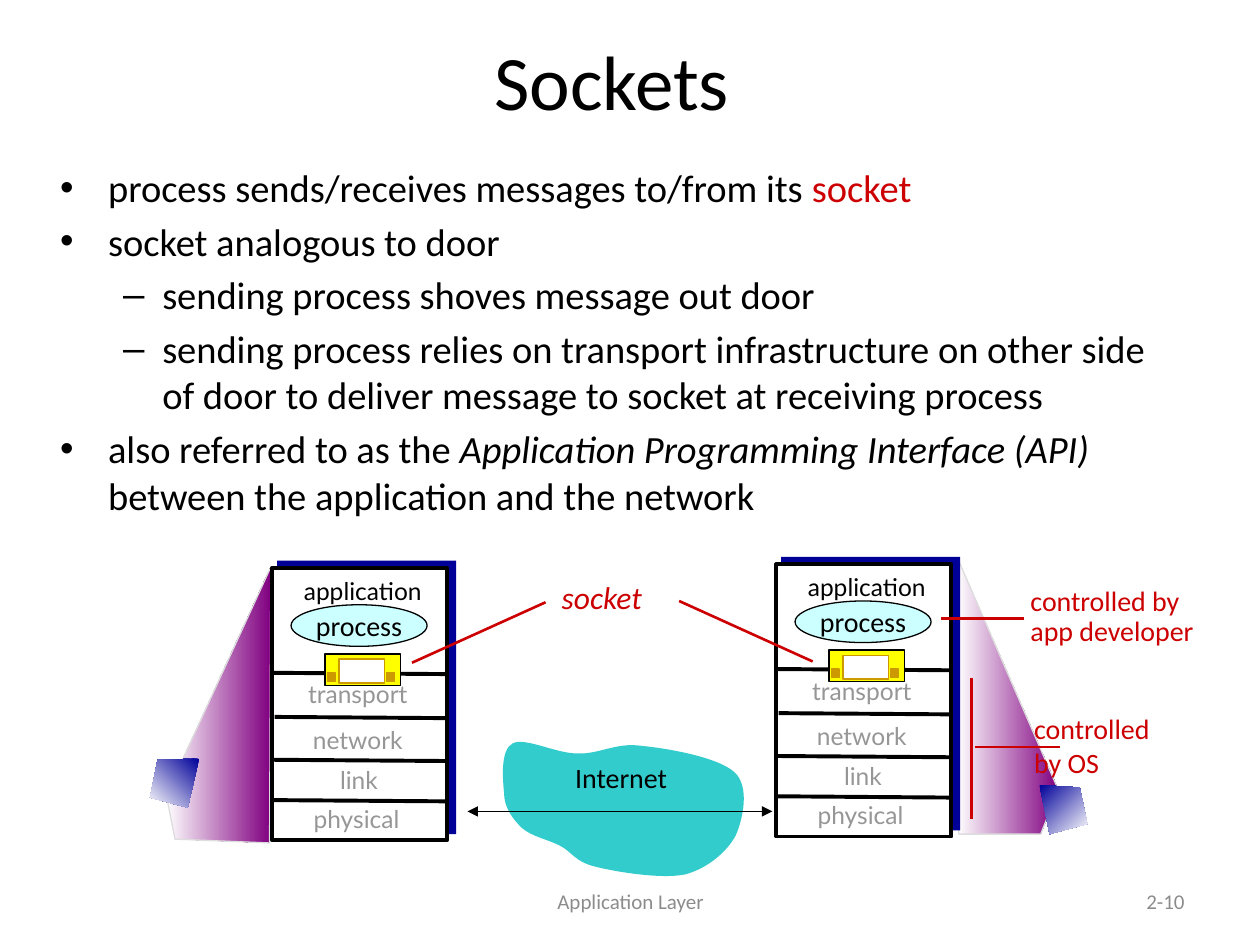
from dataclasses import dataclass

from lxml import etree
from pptx import Presentation
from pptx.dml.color import RGBColor
from pptx.enum import shapes, text
from pptx.oxml import ns
from pptx.util import Inches, Pt

COLORS = {
    "white": "FFFFFF", "black": "000000", "grey": "8C8C8C", "layer": "969696",
    "red": "CC0000", "navy": "000099", "purple": "800080", "teal": "33CCCC",
    "cyan": "CCFFFF", "yellow": "FFFF00", "gold": "CC9900", "edge": "DDDDDD",
}
RECT = shapes.MSO_SHAPE.RECTANGLE
OVAL = shapes.MSO_SHAPE.OVAL
LEFT, CENTER, RIGHT = text.PP_ALIGN.LEFT, text.PP_ALIGN.CENTER, text.PP_ALIGN.RIGHT
TOP, MIDDLE = text.MSO_ANCHOR.TOP, text.MSO_ANCHOR.MIDDLE


@dataclass
class Label:
    lines: tuple
    box: tuple
    size: float = 16
    color: str = "black"
    font: str = "Calibri"
    align: int = LEFT
    anchor: int = TOP
    spacing: float = 1.0
    italic: bool = False


@dataclass
class Line:
    start: tuple
    end: tuple
    color: str = "red"
    width: float = 1.5
    arrows: bool = False


@dataclass
class Bullet:
    level: int
    runs: tuple


@dataclass
class Outline:
    points: tuple
    stops: tuple
    angle: float = 0
    line: str = ""
    curved: bool = False


def rgb(name: str) -> RGBColor:
    return RGBColor.from_string(COLORS[name])


def apply(target, values: dict) -> None:
    for name, value in values.items():
        setattr(target, name, value)


def add_run(p, words: str, size: float, color: str, font="Calibri", italic=False) -> None:
    r = p.add_run()
    r.text = words
    apply(r.font, {"size": Pt(size), "name": font, "italic": italic})
    r.font.color.rgb = rgb(color)


def set_line(sp, color: str, width: float) -> None:
    if color:
        sp.line.color.rgb = rgb(color)
        sp.line.width = Pt(width)
    else:
        sp.line.fill.background()


def add_box(s, kind, box: tuple, fill: str, line="", width=0.75):
    sp = s.shapes.add_shape(kind, *map(Inches, box))
    sp.shadow.inherit = False
    sp.fill.solid()
    sp.fill.fore_color.rgb = rgb(fill)
    set_line(sp, line, width)
    return sp


def add_label(s, label: Label) -> None:
    tf = s.shapes.add_textbox(*map(Inches, label.box)).text_frame
    apply(tf, {"word_wrap": True, "vertical_anchor": label.anchor})
    for i, words in enumerate(label.lines):
        p = tf.add_paragraph() if i else tf.paragraphs[0]
        apply(p, {"alignment": label.align, "line_spacing": label.spacing})
        add_run(p, words, label.size, label.color, label.font, label.italic)


def add_line(s, line: Line) -> None:
    sp = s.shapes.add_connector(shapes.MSO_CONNECTOR.STRAIGHT, *map(Inches, line.start + line.end))
    set_line(sp, line.color, line.width)
    if line.arrows:
        ln = sp.line._get_or_add_ln()
        for end in ("a:headEnd", "a:tailEnd"):
            etree.SubElement(ln, ns.qn(end), type="triangle")
    etree.SubElement(sp._element.spPr, ns.qn("a:effectLst"))


def bend(sp) -> None:
    segments = list(sp._element.iter(ns.qn("a:lnTo")))
    for i in range(0, len(segments), 3):
        curve = etree.Element(ns.qn("a:cubicBezTo"))
        segments[i].addprevious(curve)
        for segment in segments[i:i + 3]:
            curve.append(segment[0])
            segment.getparent().remove(segment)


def add_outline(s, outline: Outline) -> None:
    points = [(Inches(x), Inches(y)) for x, y in outline.points]
    builder = s.shapes.build_freeform(*points[0], scale=1.0)
    builder.add_line_segments(points[1:], close=True)
    sp = builder.convert_to_shape()
    if outline.curved:
        bend(sp)
    sp.shadow.inherit = False
    if len(outline.stops) == 1:
        sp.fill.solid()
        sp.fill.fore_color.rgb = rgb(outline.stops[0])
    else:
        sp.fill.gradient()
        sp.fill.gradient_angle = outline.angle
        for stop, color in zip(sp.fill.gradient_stops, outline.stops):
            stop.color.rgb = rgb(color)
    set_line(sp, outline.line, 0.75)


def add_bullets(s, box: tuple, bullets: tuple) -> None:
    tf = s.shapes.add_textbox(*map(Inches, box)).text_frame
    tf.word_wrap = True
    for i, bullet in enumerate(bullets):
        p = tf.add_paragraph() if i else tf.paragraphs[0]
        margin, hang, mark = ((0.38, 0.38, "•"), (0.81, 0.31, "–"))[bullet.level]
        pPr = p._p.get_or_add_pPr()
        pPr.set("marL", str(Inches(margin)))
        pPr.set("indent", str(-Inches(hang)))
        etree.SubElement(pPr, ns.qn("a:buFont"), typeface="Arial")
        etree.SubElement(pPr, ns.qn("a:buChar"), char=mark)
        apply(p, {"level": bullet.level, "space_before": Pt(4.4 if i else 0)})
        for words, color, italic in bullet.runs:
            add_run(p, words, 22, color, italic=italic)


def add_host(s, x: float, y: float) -> None:
    add_box(s, RECT, (x + 0.04, y - 0.06, 1.42, 2.17), "navy")
    add_box(s, RECT, (x, y, 1.39, 2.16), "white", "black", 2.25)
    for dx, dy in ((0.01, 0.83), (0.02, 1.18), (0, 1.52), (0, 1.84)):
        add_line(s, Line((x + dx, y + dy), (x + dx + 1.38, y + dy + 0.01), "black", 2.25))
    for name, dx, dy, color in (
        ("application", 0, -0.01, "black"), ("transport", -0.04, 0.81, "layer"),
        ("network", -0.04, 1.17, "layer"), ("link", -0.03, 1.49, "layer"),
        ("physical", -0.05, 1.8, "layer"),
    ):
        add_label(s, Label((name,), (x + dx, y + dy, 1.44, 0.36), 14, color, "Lato", CENTER, spacing=1.1))
    process = add_box(s, OVAL, (x + 0.15, y + 0.29, 1.08, 0.33), "cyan", "black")
    tf = process.text_frame
    apply(tf, {"word_wrap": False, "vertical_anchor": MIDDLE})
    tf.paragraphs[0].alignment = CENTER
    add_run(tf.paragraphs[0], "process", 16, "black")
    door = s.shapes.add_group_shape()
    add_box(door, RECT, (x + 0.42, y + 0.68, 0.6, 0.25), "yellow", "black")
    add_box(door, RECT, (x + 0.53, y + 0.72, 0.36, 0.19), "white", "gold")
    for dx in (0.91, 0.44):
        add_box(door, RECT, (x + dx, y + 0.83, 0.06, 0.07), "gold", "gold")


BULLETS = (
    Bullet(0, (("process sends/receives messages to/from its ", "black", False), ("socket", "red", False))),
    Bullet(0, (("socket analogous to door", "black", False),)),
    Bullet(1, (("sending process shoves message out door", "black", False),)),
    Bullet(1, (("sending process relies on transport infrastructure on other side of door "
                "to deliver message to socket at receiving process", "black", False),)),
    Bullet(0, (("also referred to as the ", "black", False),
               ("Application Programming Interface (API) ", "black", True),
               ("between the application and the network", "black", False))),
)
CLOUD = (
    (4, 6.29),
    (3.99, 6.18), (3.97, 5.95), (4.07, 5.9), (4.17, 5.85), (4.41, 5.98), (4.58, 5.98),
    (4.75, 5.99), (4.89, 5.89), (5.09, 5.92), (5.3, 5.94), (5.7, 6.01), (5.83, 6.13),
    (5.95, 6.24), (5.9, 6.49), (5.84, 6.63), (5.77, 6.76), (5.62, 6.89), (5.44, 6.94),
    (5.25, 6.98), (4.89, 6.92), (4.73, 6.88), (4.56, 6.84), (4.54, 6.76), (4.44, 6.71),
    (4.34, 6.66), (4.22, 6.64), (4.14, 6.57), (4.07, 6.5), (4, 6.41), (4, 6.29),
)
BEAM, SCREEN = ("white", "purple"), ("navy", "white")
OUTLINES = (
    Outline(((8.4, 6.27), (7.6, 4.43), (7.61, 6.62), (8.26, 6.62)), BEAM, line="edge"),
    Outline(CLOUD, ("teal",), curved=True),
    Outline(((1.32, 6.31), (2.15, 4.5), (2.14, 6.69), (1.39, 6.66)), BEAM, line="edge"),
    Outline(((1.58, 6.02), (1.25, 6.03), (1.19, 6.33), (1.49, 6.41)), SCREEN, 225),
    Outline(((8.25, 6.23), (8.57, 6.25), (8.63, 6.54), (8.33, 6.62)), SCREEN, 315),
)
LINES = (
    Line((3.71, 6.44), (6.13, 6.44), "black", 0.75, True),
    Line((8.13, 4.91), (7.47, 4.91)),
    Line((7.71, 5.38), (7.71, 6.5)),
    Line((8.41, 5.93), (7.74, 5.93)),
    Line((3.27, 5.26), (4.33, 4.78)),
    Line((6.45, 5.25), (5.39, 4.77)),
)
LABELS = (
    Label(("Application Layer",), (3.42, 6.95, 3.17, 0.4), 12, "grey", align=CENTER, anchor=MIDDLE),
    Label(("2-10",), (7.17, 6.95, 2.33, 0.4), 12, "grey", align=RIGHT, anchor=MIDDLE),
    Label(("Sockets",), (0.44, 0.14, 8.83, 0.98), 44, align=CENTER, anchor=MIDDLE),
    Label(("Internet",), (4.45, 5.99, 0.96, 0.37), align=CENTER),
    Label(("controlled", "by OS"), (8.11, 5.6, 1.16, 0.9), color="red"),
    Label(("controlled by", "app developer"), (8.08, 4.61, 1.61, 0.58), color="red", spacing=0.9),
    Label(("socket",), (4.36, 4.57, 1, 0.4), 18, "red", spacing=0.9, italic=True),
)


def main() -> None:
    prs = Presentation()
    apply(prs, {"slide_width": Inches(10), "slide_height": Inches(7.5)})
    s = prs.slides.add_slide(prs.slide_layouts[6])
    s.background.fill.solid()
    s.background.fill.fore_color.rgb = rgb("white")
    add_bullets(s, (0.38, 1.25, 9, 3.29), BULLETS)
    for outline in OUTLINES:
        add_outline(s, outline)
    for x, y in ((2.16, 4.51), (6.16, 4.48)):
        add_host(s, x, y)
    for line in LINES:
        add_line(s, line)
    for label in LABELS:
        add_label(s, label)
    prs.save("out.pptx")


if __name__ == "__main__":
    main()
